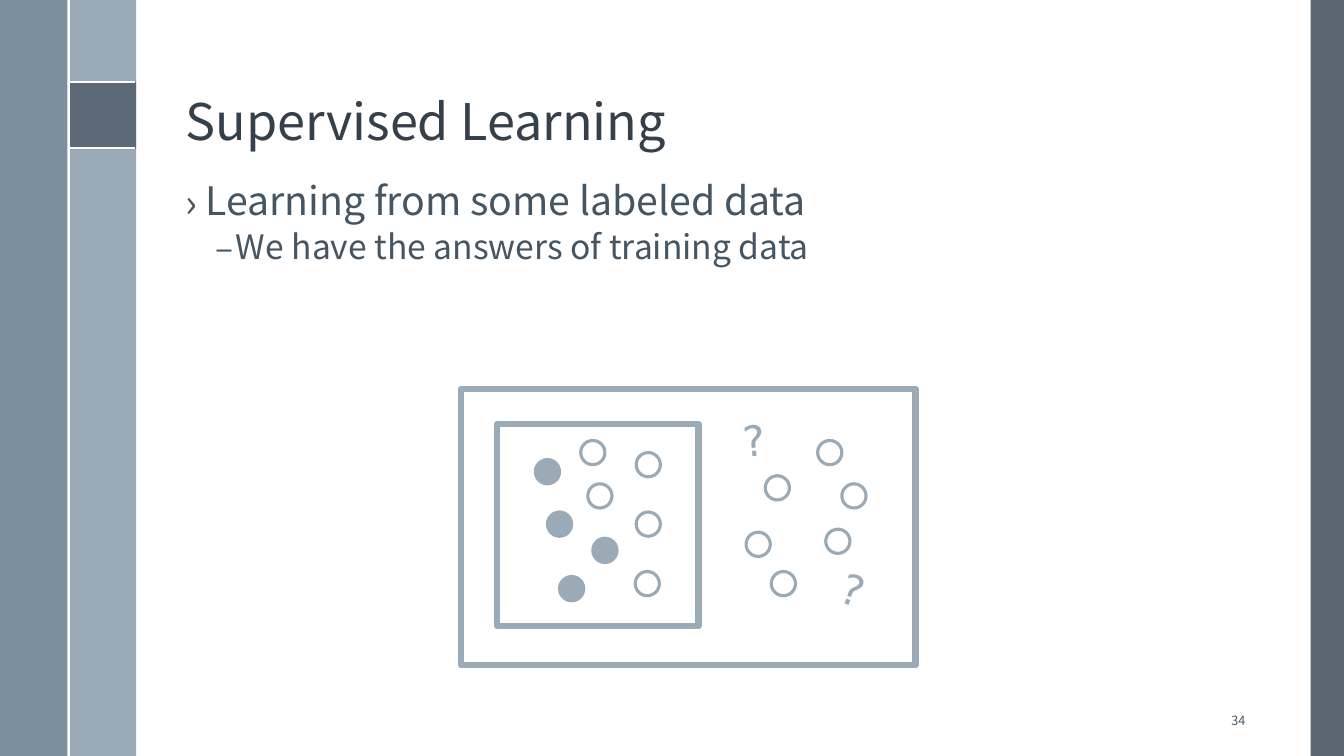
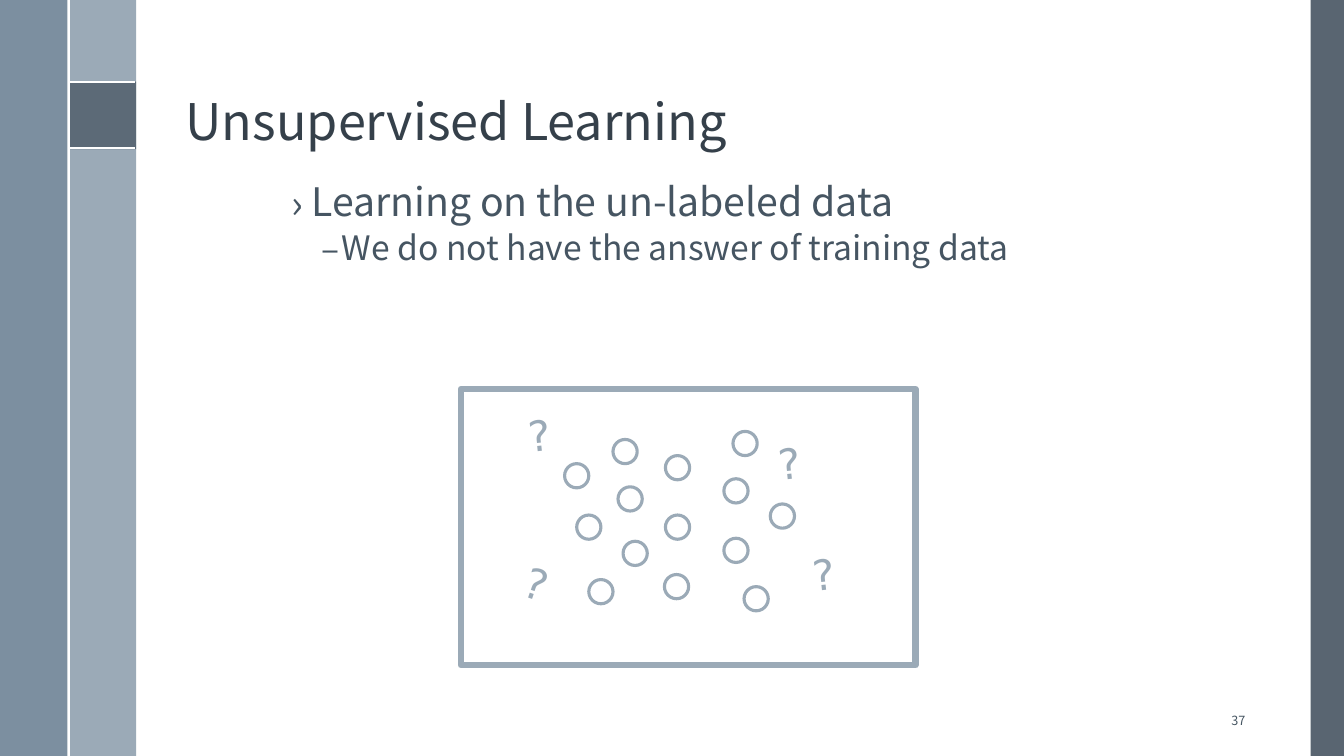
from dataclasses import dataclass

from lxml.etree import SubElement
from pptx import Presentation
from pptx.dml.color import RGBColor
from pptx.enum.shapes import MSO_CONNECTOR, MSO_SHAPE
from pptx.enum.text import MSO_ANCHOR, MSO_AUTO_SIZE, PP_ALIGN
from pptx.oxml.ns import qn
from pptx.util import Inches, Pt

COLORS = {
    "title": "35404A",
    "text": "465562",
    "dark": "475562",
    "steel": "6A8093",
    "mist": "9BAAB7",
    "white": "FFFFFF",
}
FONT = "Noto Sans CJK TC"
MARK_FONT = "DejaVu Sans"
DOT_SIZE = 0.24


@dataclass(frozen=True)
class Area:
    left: float
    top: float
    width: float
    height: float

    def lengths(self) -> tuple:
        return tuple(map(Inches, (self.left, self.top, self.width, self.height)))


@dataclass(frozen=True)
class Band:
    area: Area
    color: str
    opacity: int = 100


@dataclass(frozen=True)
class Level:
    bullet: str
    indent: float
    size: int
    space_before: float


@dataclass(frozen=True)
class Dot:
    left: float
    top: float
    labeled: bool = False


@dataclass(frozen=True)
class Mark:
    left: float
    top: float
    angle: float = 354


@dataclass(frozen=True)
class Lesson:
    title: str
    points: tuple
    body: Area
    number: int
    frames: tuple
    dots: tuple
    marks: tuple


BANDS = (
    Band(Area(13, 0, 0.33, 7.5), "dark", 90),
    Band(Area(0.68, 0, 0.67, 7.5), "mist"),
    Band(Area(0, 0, 0.67, 7.5), "steel", 88),
    Band(Area(0.68, 0.81, 0.67, 0.67), "dark", 75),
)
RULES = ((0.68, 0.81, 1.34, 0.81), (0.68, 1.47, 1.34, 1.47), (0.68, 0, 0.68, 7.5))
LEVELS = (Level("›", 0.2, 28, 0), Level("–", 0.5, 24, 4.5))
TITLE_AREA = Area(1.74, 0.19, 10.7, 1.36)
NUMBER_AREA = Area(11.78, 6.95, 0.67, 0.4)
DATA_FRAME = Area(4.57, 3.86, 4.51, 2.74)
TRAINING_FRAME = Area(4.93, 4.21, 2, 2)

LESSONS = (
    Lesson(
        "Supervised Learning",
        ("Learning from some labeled data", "We have the answers of training data"),
        Area(1.74, 1.75, 10.7, 5),
        34,
        (DATA_FRAME, TRAINING_FRAME),
        (
            Dot(5.31, 4.56, True), Dot(5.76, 4.37), Dot(5.83, 4.8),
            Dot(5.43, 5.08, True), Dot(5.88, 5.34, True), Dot(6.31, 4.49),
            Dot(6.31, 5.08), Dot(5.55, 5.72, True), Dot(6.3, 5.67),
            Dot(7.59, 4.72), Dot(8.11, 4.37), Dot(7.4, 5.28),
            Dot(8.35, 4.8), Dot(7.65, 5.67), Dot(8.19, 5.25),
        ),
        (Mark(7.27, 4.06), Mark(8.25, 5.55, 18.7)),
    ),
    Lesson(
        "Unsupervised Learning",
        ("Learning on the un-labeled data", "We do not have the answer of training data"),
        Area(2.79, 1.76, 7.61, 1.54),
        37,
        (DATA_FRAME,),
        (
            Dot(5.6, 4.6), Dot(6.08, 4.36), Dot(6.13, 4.83), Dot(5.72, 5.11),
            Dot(6.18, 5.37), Dot(6.6, 4.52), Dot(6.6, 5.11), Dot(5.84, 5.75),
            Dot(6.59, 5.7), Dot(7.18, 4.75), Dot(7.27, 4.28), Dot(7.18, 5.34),
            Dot(7.64, 5), Dot(7.38, 5.82),
        ),
        (Mark(5.14, 4.01), Mark(7.96, 5.39), Mark(7.62, 4.29), Mark(5.11, 5.49, 18.7)),
    ),
)


def rgb(name: str) -> RGBColor:
    return RGBColor.from_string(COLORS[name])


def set_font(paragraph, size: float, color: str, name: str = FONT) -> None:
    font = paragraph.font
    font.size = Pt(size)
    font.name = name
    font.color.rgb = rgb(color)


def place(shape, area: Area) -> None:
    shape.left, shape.top, shape.width, shape.height = area.lengths()


def add_shape(page, kind: MSO_SHAPE, area: Area, fill: str = "", line_width: float = 0):
    shape = page.shapes.add_shape(kind, *area.lengths())
    shape.shadow.inherit = False
    if fill:
        shape.fill.solid()
        shape.fill.fore_color.rgb = rgb(fill)
    else:
        shape.fill.background()
    if line_width:
        shape.line.color.rgb = rgb("mist")
        shape.line.width = Pt(line_width)
    else:
        shape.line.fill.background()
    return shape


def add_band(page, band: Band):
    shape = add_shape(page, MSO_SHAPE.RECTANGLE, band.area, band.color)
    if band.opacity < 100:
        color = shape.element.spPr.find(qn("a:solidFill")).find(qn("a:srgbClr"))
        SubElement(color, qn("a:alpha")).set("val", str(band.opacity * 1000))
    return shape


def add_rule(page, ends: tuple):
    rule = page.shapes.add_connector(MSO_CONNECTOR.STRAIGHT, *map(Inches, ends))
    rule.line.color.rgb = rgb("white")
    rule.line.width = Pt(1.5)
    SubElement(rule.element.spPr, qn("a:effectLst"))
    return rule


def move_to_master(deck, shapes: list) -> None:
    tree = deck.slide_master.shapes.element
    for position, shape in enumerate(shapes, start=2):
        tree.insert(position, shape.element)


def fill_title(page, text: str) -> None:
    title = page.shapes.title
    place(title, TITLE_AREA)
    frame = title.text_frame
    frame.text = text
    frame.auto_size = MSO_AUTO_SIZE.NONE
    frame.vertical_anchor = MSO_ANCHOR.BOTTOM
    paragraph = frame.paragraphs[0]
    paragraph.alignment = PP_ALIGN.LEFT
    paragraph.line_spacing = 0.9
    set_font(paragraph, 36, "title")


def fill_body(page, lesson: Lesson) -> None:
    body = page.placeholders[1]
    place(body, lesson.body)
    frame = body.text_frame
    frame.text = "\n".join(lesson.points)
    frame.auto_size = MSO_AUTO_SIZE.NONE
    for depth, (paragraph, level) in enumerate(zip(frame.paragraphs, LEVELS)):
        paragraph.level = depth
        paragraph.line_spacing = 0.9
        paragraph.space_before = Pt(level.space_before)
        properties = paragraph._p.get_or_add_pPr()
        properties.set("marL", str(Inches(level.indent)))
        properties.set("indent", str(Inches(-0.2)))
        SubElement(properties, qn("a:buFont")).set("typeface", FONT)
        SubElement(properties, qn("a:buChar")).set("char", level.bullet)
        set_font(paragraph, level.size, "text")


def add_number(page, number: int) -> None:
    box = page.shapes.add_textbox(*NUMBER_AREA.lengths())
    frame = box.text_frame
    frame.word_wrap = True
    frame.vertical_anchor = MSO_ANCHOR.MIDDLE
    paragraph = frame.paragraphs[0]
    paragraph.text = str(number)
    paragraph.alignment = PP_ALIGN.RIGHT
    set_font(paragraph, 9, "text")


def add_mark(page, mark: Mark) -> None:
    box = page.shapes.add_textbox(*Area(mark.left, mark.top, 0.43, 0.61).lengths())
    box.rotation = mark.angle
    frame = box.text_frame
    frame.word_wrap = False
    frame.auto_size = MSO_AUTO_SIZE.SHAPE_TO_FIT_TEXT
    paragraph = frame.paragraphs[0]
    paragraph.text = "?"
    set_font(paragraph, 30, "mist", MARK_FONT)


def add_lesson(deck, lesson: Lesson):
    page = deck.slides.add_slide(deck.slide_layouts[1])
    fill_title(page, lesson.title)
    fill_body(page, lesson)
    add_number(page, lesson.number)
    for area in lesson.frames:
        add_shape(page, MSO_SHAPE.RECTANGLE, area, line_width=4.5)
    for dot in lesson.dots:
        area = Area(dot.left, dot.top, DOT_SIZE, DOT_SIZE)
        add_shape(page, MSO_SHAPE.OVAL, area, "mist" if dot.labeled else "", 2.25)
    for mark in lesson.marks:
        add_mark(page, mark)
    return page


def main() -> None:
    deck = Presentation()
    deck.slide_width = Inches(13.33)
    deck.slide_height = Inches(7.5)
    pages = [add_lesson(deck, lesson) for lesson in LESSONS]
    bands = [add_band(pages[0], band) for band in BANDS]
    rules = [add_rule(pages[0], ends) for ends in RULES]
    move_to_master(deck, bands + rules)
    deck.save("out.pptx")


if __name__ == "__main__":
    main()
